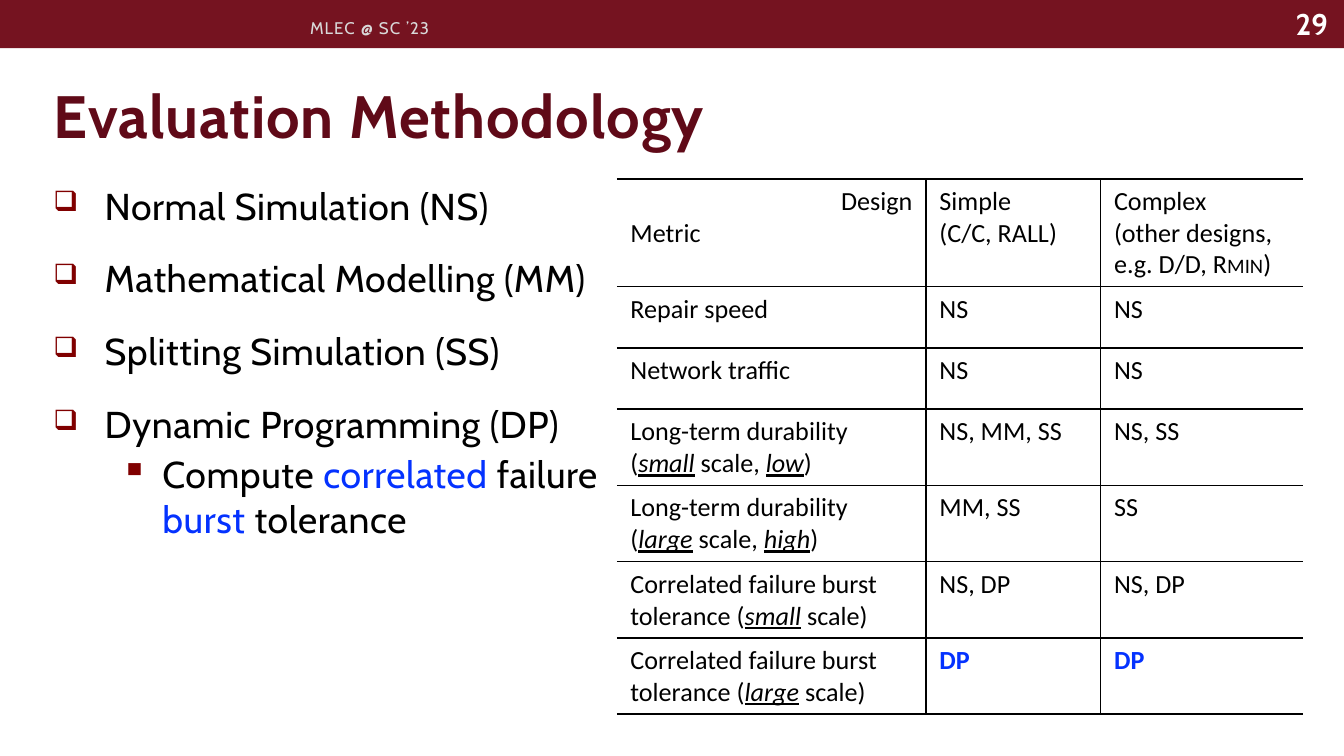
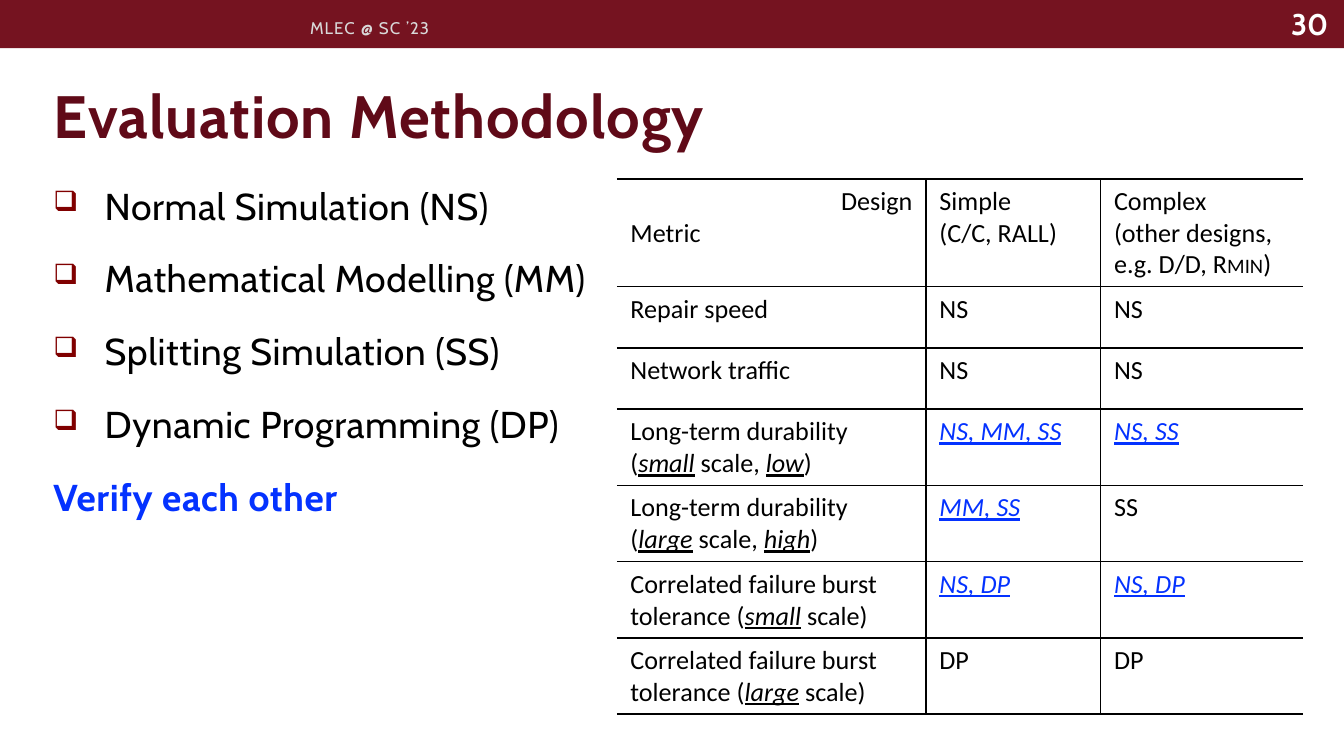
"""Build two slides on evaluation methodology, each with a method list and a table."""
from lxml import etree
from pptx import Presentation
from pptx.dml.color import RGBColor
from pptx.enum import shapes, text
from pptx.oxml.ns import qn
from pptx.util import Cm, Pt

BAND = RGBColor(0x75, 0x13, 0x20)
MAROON = RGBColor(0x60, 0x0A, 0x18)
BULLET = RGBColor(0x80, 0x00, 0x00)
BLUE = RGBColor(0x04, 0x32, 0xFF)
GREY = RGBColor(0xD9, 0xD9, 0xD9)
WHITE = RGBColor(0xFF, 0xFF, 0xFF)
BLACK = RGBColor(0x00, 0x00, 0x00)

TITLE = "Evaluation Methodology"
FOOTER = "MLEC @ SC ’23"
BREAK = "\v"

EM = dict(italic=True, underline=True)
STRONG = dict(color=BLUE, bold=True)
LINKED = dict(color=BLUE, **EM)

METHODS = [
    "Normal Simulation (NS)",
    "Mathematical Modelling (MM)",
    "Splitting Simulation (SS)",
    "Dynamic Programming (DP)",
]
BURST_NOTE = [
    "Compute ", ("correlated", dict(color=BLUE)), " failure ",
    ("burst", dict(color=BLUE)), " tolerance",
]
VERIFY_NOTE = [("Verify each other", STRONG)]

HEADER = [
    [["Design"], ["Metric"]],
    [["Simple"], ["(C/C, RALL)"]],
    [["Complex", BREAK, "(other designs,"],
     ["e.g. D/D, R", ("MIN", dict(size=11)), ")"]],
]


def durability(scale, rate):
    return [["Long-term durability"],
            ["(", (scale, EM), " scale, ", (rate, EM), ")"]]


def tolerance(scale):
    return [["Correlated failure burst tolerance (", (scale, EM), " scale)"]]


METRICS = [
    ([["Repair speed"]], "NS", "NS"),
    ([["Network traffic"]], "NS", "NS"),
    (durability("small", "low"), "NS, MM, SS", "NS, SS"),
    (durability("large", "high"), "MM, SS", "SS"),
    (tolerance("small"), "NS, DP", "NS, DP"),
    (tolerance("large"), "DP", "DP"),
]
COLUMNS = [5.84, 3.3, 3.83]
ROWS = [2.03] + [1.16] * 2 + [1.42] * 4

SLIDES = [
    dict(number="29", note=BURST_NOTE, level=1, style=STRONG,
         marked={(6, 1), (6, 2)}),
    dict(number="30", note=VERIFY_NOTE, level=None, style=LINKED,
         marked={(3, 1), (3, 2), (4, 1), (5, 1), (5, 2)}),
]
BULLETS = [("❑", 0.97, -0.97, 75, 15), ("▪", 2.06, -0.79, 100, 3)]


def write(p, runs, font, size, color=BLACK, spacing=0, bold=False):
    for run in runs:
        if run == BREAK:
            p.add_line_break()
            etree.SubElement(p._p[-1], qn("a:rPr"), sz=str(size * 100))
            continue
        words, style = (run, {}) if isinstance(run, str) else run
        r = p.add_run()
        r.text = words
        r.font.name = font
        r.font.size = Pt(style.get("size", size))
        r.font.color.rgb = style.get("color", color)
        r.font.bold = style.get("bold", bold)
        r.font.italic = style.get("italic", False)
        r.font.underline = style.get("underline", False)
        if spacing:
            r._r.get_or_add_rPr().set("spc", str(spacing))


def add_box(s, left, top, width, height, anchor):
    tf = s.shapes.add_textbox(Cm(left), Cm(top), Cm(width), Cm(height)).text_frame
    tf.word_wrap = True
    tf.vertical_anchor = anchor
    return tf


def add_bullet(p, level):
    char, margin, indent, percent, before = BULLETS[level]
    p.level = level
    p.space_before = Pt(before)
    pPr = p._p.get_or_add_pPr()
    pPr.set("marL", str(Cm(margin)))
    pPr.set("indent", str(Cm(indent)))
    color = etree.SubElement(pPr, qn("a:buClr"))
    etree.SubElement(color, qn("a:srgbClr"), val=str(BULLET))
    etree.SubElement(pPr, qn("a:buSzPct"), val=str(percent * 1000))
    etree.SubElement(pPr, qn("a:buChar"), char=char)


def add_frame(s, number):
    band = s.shapes.add_shape(shapes.MSO_SHAPE.RECTANGLE, 0, 0, Cm(25.4), Cm(0.91))
    band.shadow.inherit = False
    band.fill.solid()
    band.fill.fore_color.rgb = BAND
    band.line.fill.background()
    tf = add_box(s, 0.76, 0.58, 23.95, 2.39, text.MSO_ANCHOR.BOTTOM)
    write(tf.paragraphs[0], [TITLE], "Cabin", 32, MAROON, 50, True)
    tf = add_box(s, 23.11, -0.03, 2.24, 0.94, text.MSO_ANCHOR.MIDDLE)
    tf.paragraphs[0].alignment = text.PP_ALIGN.RIGHT
    write(tf.paragraphs[0], [number], "Cabin", 16, WHITE, bold=True)
    tf = add_box(s, 5.61, 0.15, 9.04, 0.74, text.MSO_ANCHOR.MIDDLE)
    write(tf.paragraphs[0], [FOOTER], "Cabin", 9, GREY, 60)


def add_methods(s, note, level):
    tf = add_box(s, 0.76, 3.33, 11.15, 10.67, text.MSO_ANCHOR.TOP)
    items = [([method], 0) for method in METHODS] + [(note, level)]
    for i, (runs, depth) in enumerate(items):
        p = tf.add_paragraph() if i else tf.paragraphs[0]
        if depth is None:
            p.space_before = Pt(15)
        else:
            add_bullet(p, depth)
        write(p, runs, "Cabin", 20, spacing=30)


def set_borders(cell, col):
    tcPr = cell._tc.get_or_add_tcPr()
    shown = dict(lnL=col > 0, lnR=col < len(COLUMNS) - 1, lnT=True, lnB=True)
    for side, visible in shown.items():
        ln = etree.SubElement(tcPr, qn(f"a:{side}"), w=str(Pt(1)))
        if visible:
            fill = etree.SubElement(ln, qn("a:solidFill"))
            etree.SubElement(fill, qn("a:srgbClr"), val=str(BLACK))
        else:
            etree.SubElement(ln, qn("a:noFill"))


def add_metrics(s, marked, style):
    table = s.shapes.add_table(len(ROWS), len(COLUMNS), Cm(11.66), Cm(3.38),
                               Cm(sum(COLUMNS)), Cm(sum(ROWS))).table
    table.first_row = table.horz_banding = False
    for column, width in zip(table.columns, COLUMNS):
        column.width = Cm(width)
    for row, height in zip(table.rows, ROWS):
        row.height = Cm(height)
    for i, entries in enumerate([HEADER] + METRICS):
        for j, entry in enumerate(entries):
            cell = table.cell(i, j)
            set_borders(cell, j)
            cell.fill.background()
            if isinstance(entry, str):
                entry = [[(entry, style if (i, j) in marked else {})]]
            for k, runs in enumerate(entry):
                tf = cell.text_frame
                p = tf.add_paragraph() if k else tf.paragraphs[0]
                write(p, runs, "Calibri", 14)
    table.cell(0, 0).text_frame.paragraphs[0].alignment = text.PP_ALIGN.RIGHT


def main():
    prs = Presentation()
    prs.slide_width, prs.slide_height = Cm(25.4), Cm(14.29)
    for content in SLIDES:
        s = prs.slides.add_slide(prs.slide_layouts[6])
        add_frame(s, content["number"])
        add_methods(s, content["note"], content["level"])
        add_metrics(s, content["marked"], content["style"])
    prs.save("out.pptx")


if __name__ == "__main__":
    main()
